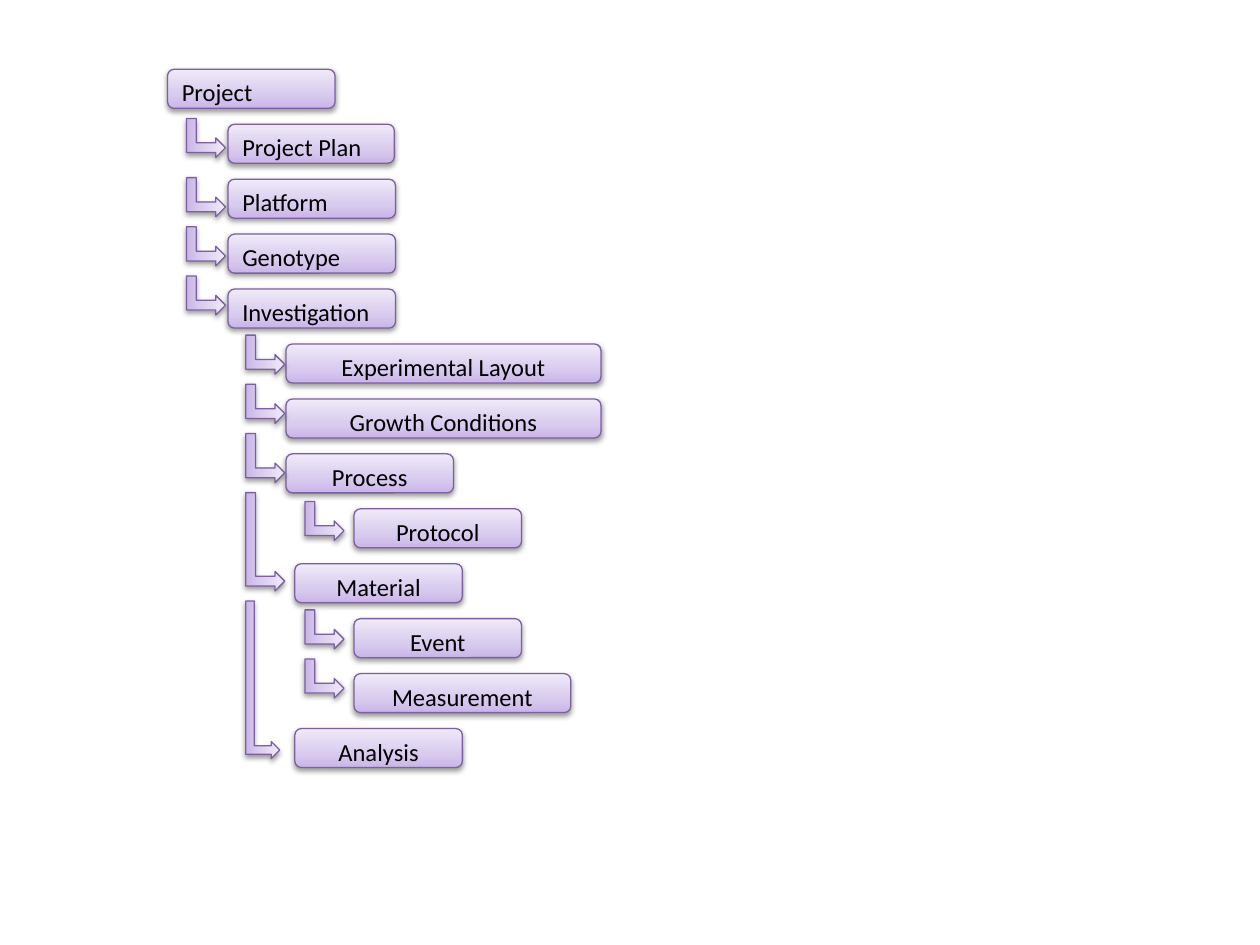
from lxml.etree import SubElement
from pptx import Presentation
from pptx.dml.color import RGBColor
from pptx.enum.shapes import MSO_SHAPE
from pptx.enum.text import MSO_ANCHOR, PP_ALIGN
from pptx.oxml.ns import qn
from pptx.util import Inches, Pt

BLACK = RGBColor(0x00, 0x00, 0x00)
PURPLE = RGBColor(0x7D, 0x60, 0xA0)
LILAC = RGBColor(0xC9, 0xB5, 0xE8)
MAUVE = RGBColor(0xD8, 0xCB, 0xEE)
MIST = RGBColor(0xF0, 0xEA, 0xF9)
STOPS = ((0, LILAC), (35, MAUVE), (100, MIST))

STEP = 0.436
TALL = 0.31
LEFT, MID = PP_ALIGN.LEFT, PP_ALIGN.CENTER

# label, left, width, alignment
NODES = (
    ("Project", 0, 1.33, LEFT),
    ("Project Plan", 0.48, 1.32, LEFT),
    ("Platform", 0.48, 1.33, LEFT),
    ("Genotype", 0.48, 1.33, LEFT),
    ("Investigation", 0.48, 1.33, LEFT),
    ("Experimental Layout", 0.94, 2.5, MID),
    ("Growth Conditions", 0.94, 2.5, MID),
    ("Process", 0.94, 1.33, MID),
    ("Protocol", 1.48, 1.33, MID),
    ("Material", 1.01, 1.33, MID),
    ("Event", 1.48, 1.33, MID),
    ("Measurement", 1.48, 1.72, MID),
    ("Analysis", 1.01, 1.33, MID),
)

# left, top, width, height as seen after the turn
ARROWS = (
    (0.15, 0.39, 0.31, 0.31),
    (0.15, 0.86, 0.31, 0.31),
    (0.15, 1.25, 0.31, 0.31),
    (0.15, 1.64, 0.31, 0.31),
    (0.62, 2.11, 0.31, 0.31),
    (0.62, 2.5, 0.31, 0.31),
    (0.62, 2.89, 0.31, 0.39),
    (1.09, 3.43, 0.31, 0.31),
    (0.62, 3.36, 0.31, 0.78),
    (1.09, 4.29, 0.31, 0.31),
    (1.09, 4.68, 0.31, 0.31),
    (0.62, 4.22, 0.27, 1.25),
)


def dress(shape):
    """Give a shape the lilac gradient, purple line and soft shadow."""
    props = shape.element.spPr
    grad = SubElement(props, qn("a:gradFill"), rotWithShape="1")
    stops = SubElement(grad, qn("a:gsLst"))
    for place, shade in STOPS:
        stop = SubElement(stops, qn("a:gs"), pos=str(place * 1000))
        SubElement(stop, qn("a:srgbClr"), val=str(shade))
    SubElement(grad, qn("a:lin"), ang="16200000", scaled="1")
    shape.line.color.rgb = PURPLE
    shape.line.width = Pt(0.75)
    shape.shadow.inherit = False
    glow = SubElement(
        props.find(qn("a:effectLst")), qn("a:outerShdw"),
        blurRad=str(Pt(3.1)), dist=str(Pt(1.6)), dir="5400000", rotWithShape="0",
    )
    tint = SubElement(glow, qn("a:srgbClr"), val=str(BLACK))
    SubElement(tint, qn("a:alpha"), val="38000")


def add_node(group, label, left, top, width, align):
    """Place one labelled box of the tree."""
    node = group.shapes.add_shape(
        MSO_SHAPE.ROUNDED_RECTANGLE,
        Inches(left), Inches(top), Inches(width), Inches(TALL),
    )
    dress(node)
    frame = node.text_frame
    frame.text = label
    frame.vertical_anchor = MSO_ANCHOR.TOP
    para = frame.paragraphs[0]
    para.alignment = align
    font = para.runs[0].font
    font.name = "Calibri"
    font.size = Pt(14)
    font.color.rgb = BLACK


def add_arrow(group, left, top, width, height):
    """Place a bent arrow, turned to run down and right, in its seen box."""
    shift = (width - height) / 2
    arrow = group.shapes.add_shape(
        MSO_SHAPE.BENT_UP_ARROW,
        Inches(left + shift), Inches(top - shift), Inches(height), Inches(width),
    )
    arrow.rotation = 90
    dress(arrow)


def add_tree(slide, left, top):
    """Draw the whole tree from its top left corner."""
    group = slide.shapes.add_group_shape()
    for row, (label, dent, width, align) in enumerate(NODES):
        add_node(group, label, left + dent, top + row * STEP, width, align)
    for dent, drop, width, height in ARROWS:
        add_arrow(group, left + dent, top + drop, width, height)


def main():
    """Build and save the slide."""
    deck = Presentation()
    deck.slide_width = Inches(10)
    deck.slide_height = Inches(7.5)
    slide = deck.slides.add_slide(deck.slide_layouts[6])
    add_tree(slide, 1.33, 0.55)
    deck.save("out.pptx")


if __name__ == "__main__":
    main()
